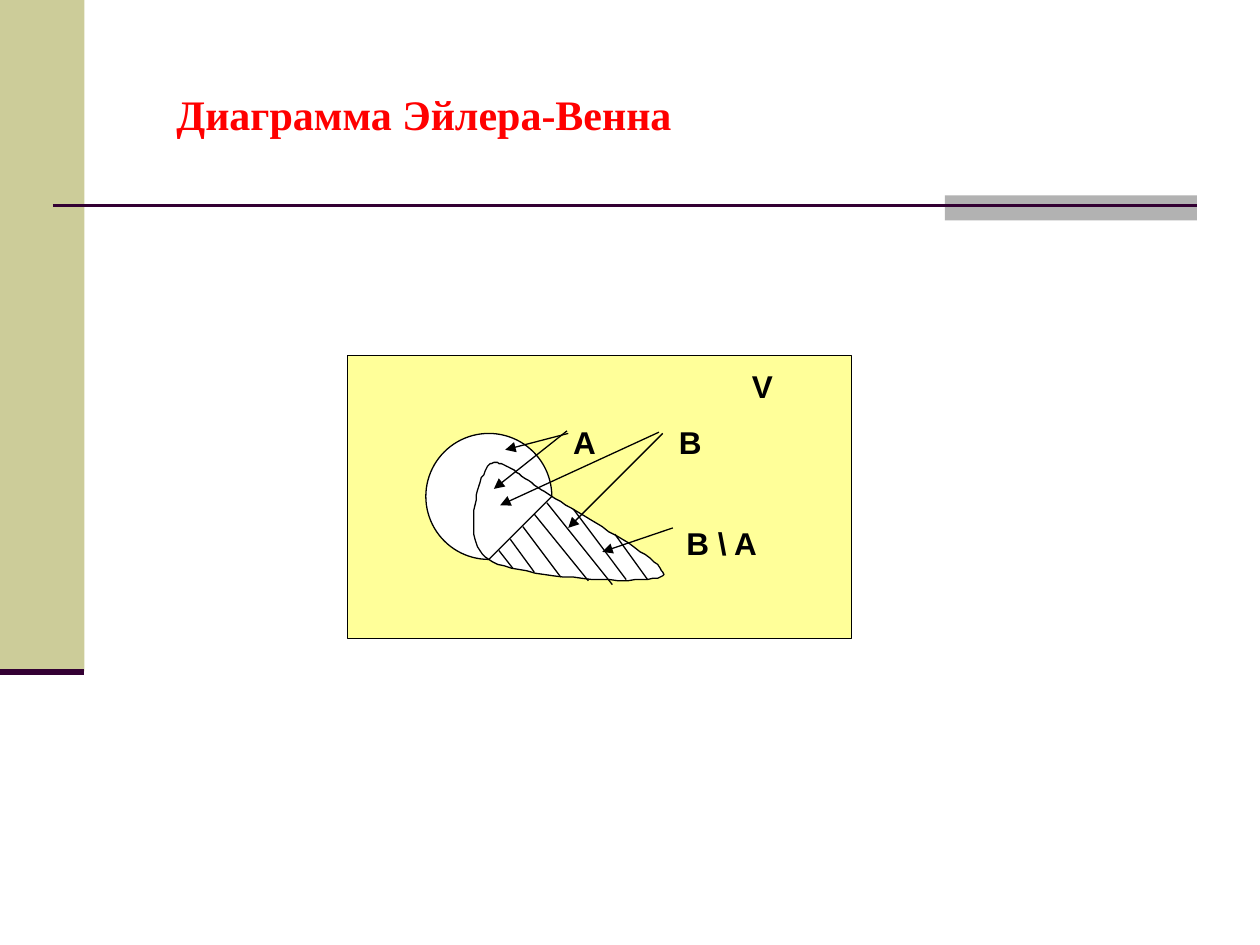
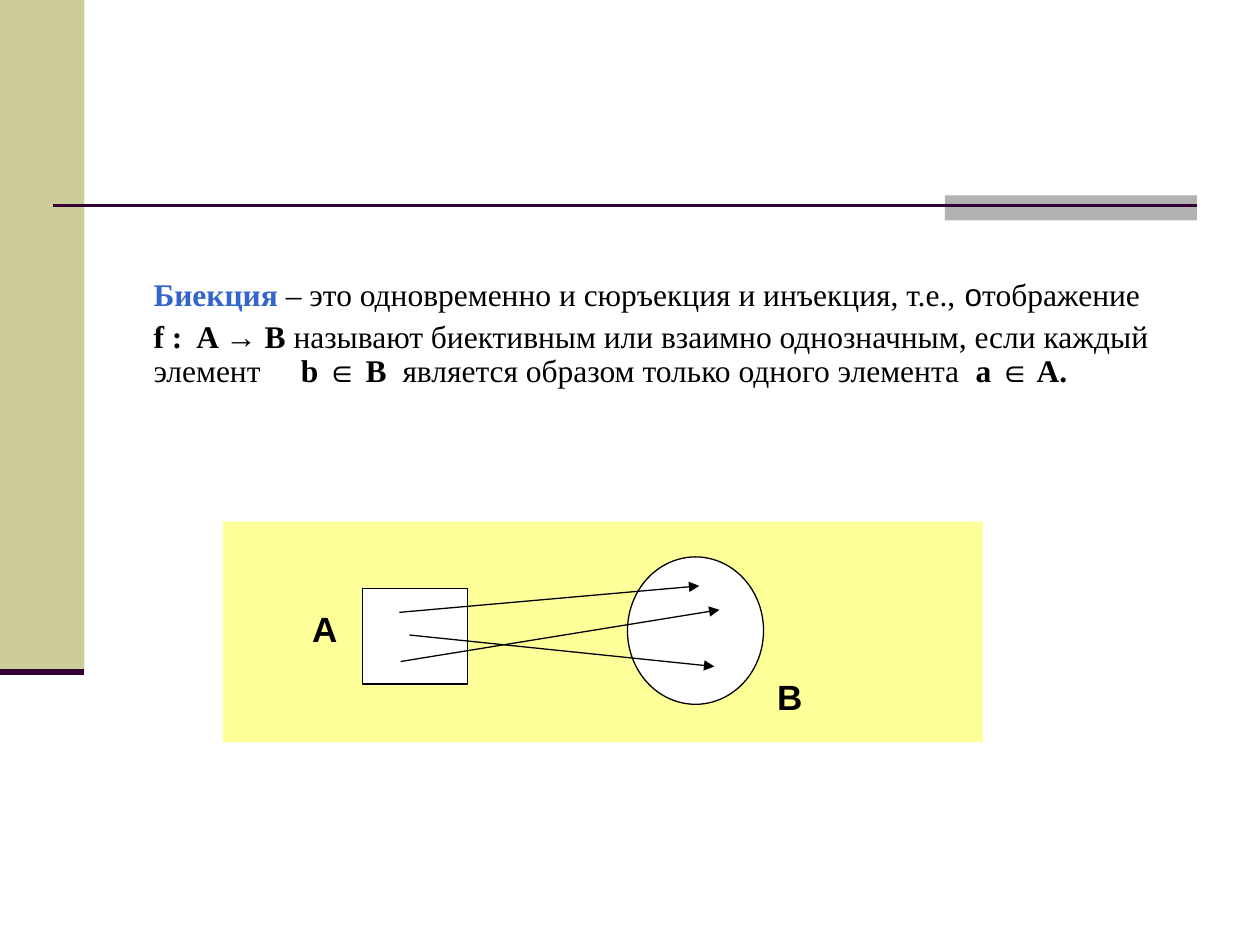
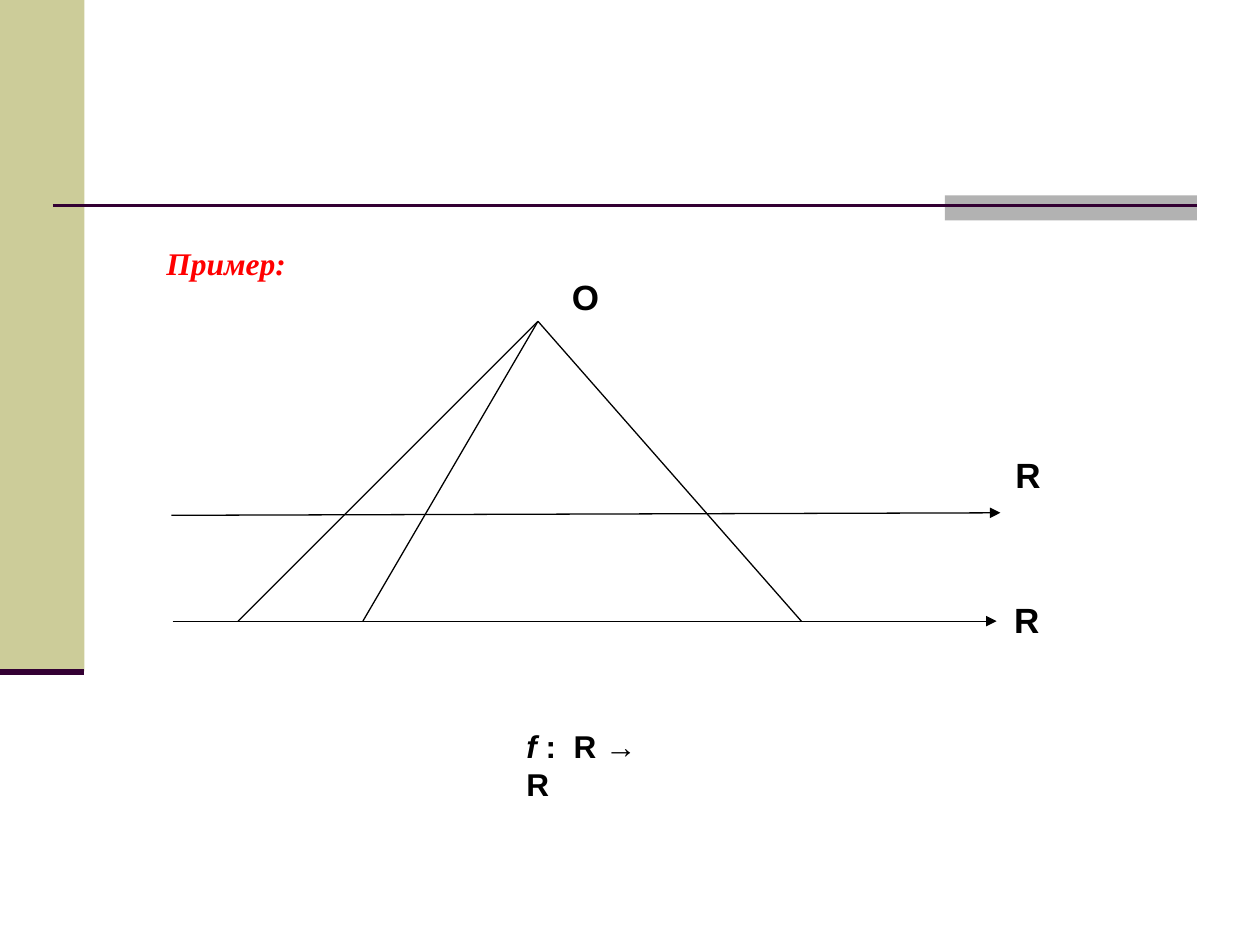
import lxml.etree
import pptx
import pptx.dml.color
import pptx.enum.shapes
import pptx.enum.text
import pptx.oxml.ns
import pptx.util

RGB = pptx.dml.color.RGBColor
KIND = pptx.enum.shapes.MSO_SHAPE
SCALE = 9144
BLACK = RGB(0x00, 0x00, 0x00)
WHITE = RGB(0xFF, 0xFF, 0xFF)
RED = RGB(0xFF, 0x00, 0x00)
BLUE = RGB(0x33, 0x66, 0xCC)
OLIVE = RGB(0xCC, 0xCC, 0x99)
GRAY = RGB(0xB2, 0xB2, 0xB2)
PLUM = RGB(0x33, 0x00, 0x33)
YELLOW = RGB(0xFF, 0xFF, 0x99)
SANS = "Arial"
SERIF = "Times New Roman"


def px(num):
    """Turn px into EMU."""
    return pptx.util.Emu(int(num * SCALE))


def node(top, tag, **attrs):
    """Add a DrawingML child element."""
    return lxml.etree.SubElement(top, pptx.oxml.ns.qn(tag), attrs)


def say(par, text, font=SANS, size=18, color=BLACK, bold=True, slant=False):
    """Add a formatted run to a paragraph."""
    run = par.add_run()
    run.text = text
    run.font.name = font
    run.font.size = pptx.util.Pt(size)
    run.font.color.rgb = color
    run.font.bold = bold
    run.font.italic = slant


def paint(shape, fill, edge=None):
    """Set the fill and outline of a shape."""
    shape.shadow.inherit = False
    shape.fill.solid()
    shape.fill.fore_color.rgb = fill
    if edge is None:
        shape.line.fill.background()
    else:
        shape.line.color.rgb = edge
        shape.line.width = pptx.util.Pt(0.75)


def block(slide, kind, box, fill, edge=None):
    """Add a preset shape."""
    paint(slide.shapes.add_shape(kind, *map(px, box)), fill, edge)


def line(slide, start, end, color=BLACK, width=0.75, arrow=False):
    """Add a straight line, with an arrowhead on request."""
    link = slide.shapes.add_connector(
        pptx.enum.shapes.MSO_CONNECTOR.STRAIGHT, *map(px, (*start, *end)))
    link.line.color.rgb = color
    link.line.width = pptx.util.Pt(width)
    props = link._element.spPr
    if arrow:
        node(props.find(pptx.oxml.ns.qn("a:ln")), "a:tailEnd", type="triangle")
    node(props, "a:effectLst")


def note(slide, box):
    """Add a wrapping text box and return its frame."""
    frame = slide.shapes.add_textbox(*map(px, box)).text_frame
    frame.word_wrap = True
    return frame


def label(slide, text, left, top, size=20):
    """Add a short bold label."""
    say(note(slide, (left, top, 100, 45)).paragraphs[0], text, size=size)


def head(slide, text, box, **form):
    """Place and format the slide title."""
    title = slide.shapes.title
    title.left, title.top, title.width, title.height = map(px, box)
    frame = title.text_frame
    frame.auto_size = pptx.enum.text.MSO_AUTO_SIZE.NONE
    frame.vertical_anchor = pptx.enum.text.MSO_ANCHOR.MIDDLE
    par = frame.paragraphs[0]
    par.alignment = pptx.enum.text.PP_ALIGN.LEFT
    say(par, text, font=SERIF, color=RED, **form)


def curve(start, one, two, end, steps=24):
    """List the points of a cubic curve after its start."""
    spots = []
    for step in range(1, steps + 1):
        t = step / steps
        u = 1 - t
        spots.append(tuple(
            u**3 * a + 3 * u * u * t * b + 3 * u * t * t * c + t**3 * d
            for a, b, c, d in zip(start, one, two, end)))
    return spots


def leaf(slide, start, arcs):
    """Draw a closed outline made of curves."""
    path = slide.shapes.build_freeform(*start, scale=SCALE)
    for one, two, end in arcs:
        path.add_line_segments(curve(start, one, two, end), close=False)
        start = end
    path.add_line_segments([], close=True)
    paint(path.convert_to_shape(), WHITE, BLACK)


def page(deck, layout):
    """Add a slide with the shared bands and rules."""
    slide = deck.slides.add_slide(deck.slide_layouts[layout])
    block(slide, KIND.RECTANGLE, (0, 0, 67, 533), OLIVE)
    block(slide, KIND.RECTANGLE, (750, 155, 200, 20), GRAY)
    line(slide, (42, 163), (950, 163), PLUM, 1.5)
    line(slide, (0, 533), (67, 533), PLUM, 3.5)
    return slide


def venn(deck):
    """Build the Euler-Venn diagram slide."""
    slide = page(deck, 5)
    head(slide, "Диаграмма Эйлера-Венна", (130, 28, 850, 125), size=24)
    block(slide, KIND.RECTANGLE, (276, 282, 400, 225), YELLOW, BLACK)
    block(slide, KIND.OVAL, (338, 344, 100, 100), WHITE, BLACK)
    leaf(slide, (438, 394), [
        ((415, 380), (397, 361), (388, 369)),
        ((380, 378), (365, 430), (388, 444)),
        ((411, 459), (517, 465), (526, 457)),
        ((534, 449), (461, 409), (438, 394)),
    ])
    line(slide, (388, 444), (438, 394))
    hatch = [
        ((396, 437), (407, 451)), ((405, 428), (424, 454)),
        ((415, 418), (445, 458)), ((424, 408), (467, 461)),
        ((434, 399), (486, 464)), ((455, 404), (497, 460)),
        ((488, 424), (514, 460)),
    ]
    for start, end in hatch:
        line(slide, start, end)
    hints = [
        ((451, 344), (401, 357)), ((450, 342), (392, 388)),
        ((526, 344), (451, 419)), ((523, 343), (397, 401)),
        ((534, 419), (478, 438)),
    ]
    for start, end in hints:
        line(slide, start, end, arrow=True)
    for text, left, top in [("V", 587, 286), ("A", 445, 331),
                            ("B", 529, 331), ("B \\ A", 535, 411)]:
        label(slide, text, left, top, size=18)


def define(slide):
    """Write the definition of a bijection."""
    frame = note(slide, (112, 217, 829, 129))
    first, second = frame.paragraphs[0], frame.add_paragraph()
    tabs = node(second._p.get_or_add_pPr(), "a:tabLst")
    node(tabs, "a:tab", pos=str(px(117)), algn="l")
    first.line_spacing = second.line_spacing = 0.9
    second.space_before = pptx.util.Pt(4.5)
    say(first, "Биекция ", font=SERIF, color=BLUE)
    say(first, "– это одновременно и сюръекция и инъекция, т.е.,",
        font=SERIF, bold=False)
    say(first, " о", bold=False)
    say(first, "тображение", font=SERIF, bold=False)
    for text, font, bold in [
        ("f :  A ", SERIF, True),
        ("→", SANS, True),
        (" B ", SERIF, True),
        ("называют биективным или взаимно однозначным, "
         "если каждый элемент\t", SERIF, False),
        ("b ", SERIF, True),
        ("∈", SANS, True),
        (" B  ", SERIF, True),
        ("является образом только одного элемента  ", SERIF, False),
        ("a ", SERIF, True),
        ("∈", SANS, True),
        (" A.", SERIF, True),
    ]:
        say(second, text, font=font, bold=bold)


def biject(deck):
    """Build the bijection slide."""
    slide = page(deck, 6)
    define(slide)
    block(slide, KIND.RECTANGLE, (177, 414, 603, 175), YELLOW)
    block(slide, KIND.RECTANGLE, (288, 467, 83, 76), WHITE, BLACK)
    block(slide, KIND.OVAL, (498, 442, 108, 117), WHITE, BLACK)
    label(slide, "A", 238, 477)
    label(slide, "B", 607, 531)
    for start, end in [((317, 486), (555, 465)), ((318, 525), (571, 484)),
                       ((325, 504), (567, 529))]:
        line(slide, start, end, arrow=True)


def sample(deck):
    """Build the example slide."""
    slide = page(deck, 5)
    head(slide, "Пример:", (122, 186, 258, 45), slant=True)
    line(slide, (136, 409), (794, 407), arrow=True)
    line(slide, (137, 493), (791, 493), arrow=True)
    for foot in (189, 288, 636):
        line(slide, (427, 255), (foot, 493))
    for text, left, top in [("О", 444, 214), ("R", 796, 355), ("R", 795, 470)]:
        label(slide, text, left, top)
    par = note(slide, (408, 572, 126, 70)).paragraphs[0]
    say(par, "f", slant=True)
    say(par, " :  R → R")


def main():
    """Build and save the deck."""
    deck = pptx.Presentation()
    deck.slide_width, deck.slide_height = px(1000), px(750)
    venn(deck)
    biject(deck)
    sample(deck)
    deck.save("out.pptx")


if __name__ == "__main__":
    main()
